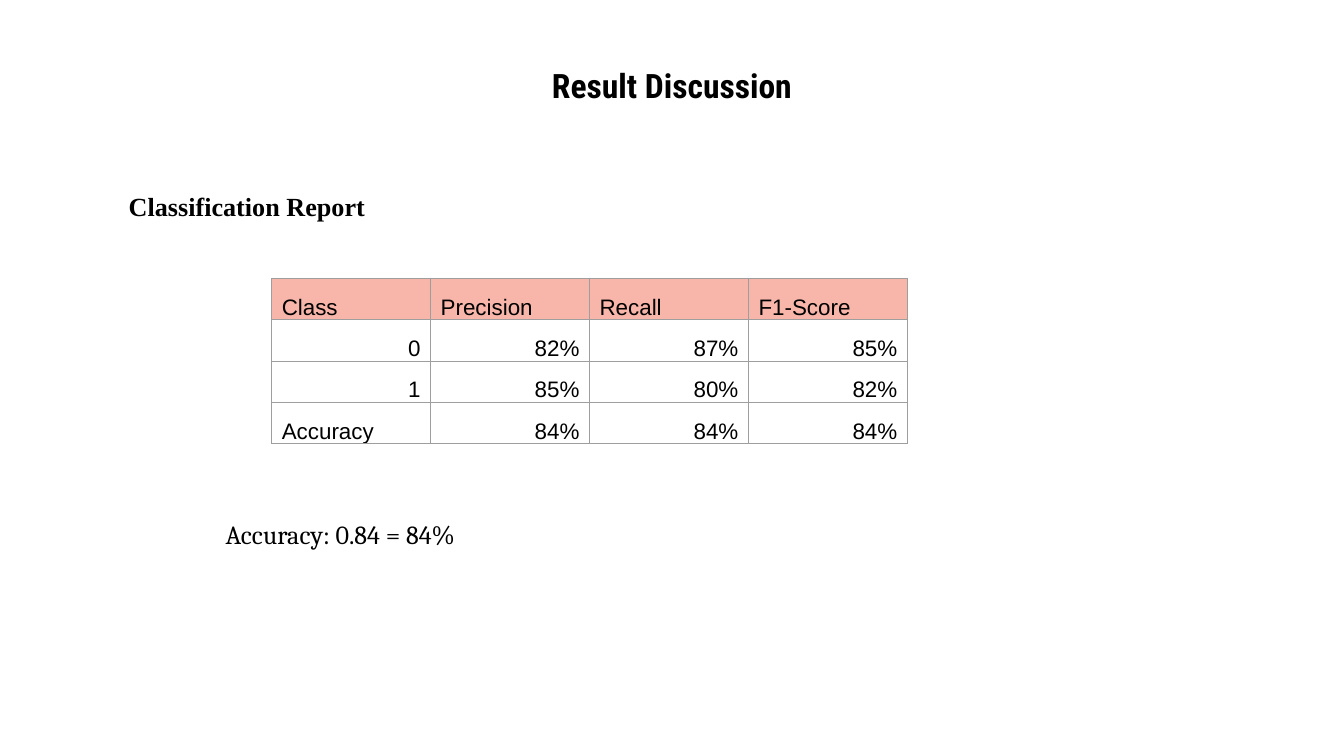
import pptx
import pptx.dml.color
import pptx.enum.text
import pptx.oxml
import pptx.oxml.ns
import pptx.util

HUES = {"ink": "000000", "head": "F7B6A9", "page": "FFFFFF", "line": "9E9E9E"}
ALIGN = pptx.enum.text.PP_ALIGN
ANCHOR = pptx.enum.text.MSO_ANCHOR
SCORES = [
    ["Class", "Precision", "Recall", "F1-Score"],
    ["0", "82%", "87%", "85%"],
    ["1", "85%", "80%", "82%"],
    ["Accuracy", "84%", "84%", "84%"],
]


def hue(name):
    return pptx.dml.color.RGBColor.from_string(HUES[name])


def write(frame, text, font="Arial", size=12, bold=False, align=ALIGN.LEFT, space=None):
    para = frame.paragraphs[0]
    para.alignment = align
    para.line_spacing = space
    run = para.add_run()
    run.text = text
    run.font.name = font
    run.font.size = pptx.util.Pt(size)
    run.font.bold = bold
    run.font.color.rgb = hue("ink")


class Deck:
    """Draws elements on the current slide, on a grid of tenths of an inch."""

    unit = pptx.util.Inches(0.1)

    def __init__(self, cols, rows):
        self.file = pptx.Presentation()
        self.file.slide_width, self.file.slide_height = self.span(cols, rows)
        self.slide = self.file.slides.add_slide(self.file.slide_layouts[5])

    def span(self, *cells):
        return [round(cell * self.unit) for cell in cells]

    def title(self, text, *box):
        shape = self.slide.shapes.title
        shape.left, shape.top, shape.width, shape.height = self.span(*box)
        frame = shape.text_frame
        frame.auto_size = pptx.enum.text.MSO_AUTO_SIZE.NONE
        frame.vertical_anchor = ANCHOR.MIDDLE
        frame.margin_top = frame.margin_bottom = self.unit
        write(frame, text, font="Roboto Condensed", size=18, bold=True,
              align=ALIGN.CENTER, space=0.9)

    def label(self, text, *box, **style):
        frame = self.slide.shapes.add_textbox(*self.span(*box)).text_frame
        frame.word_wrap = True
        write(frame, text, size=14, **style)

    def table(self, data, *box):
        frame = self.slide.shapes.add_table(len(data), len(data[0]), *self.span(*box))
        grid = frame.table
        grid.horz_banding = False
        for r, row in enumerate(data):
            for c, text in enumerate(row):
                self.cell(grid.cell(r, c), text, "page" if r else "head")

    def cell(self, cell, text, fill):
        cell.margin_left = cell.margin_right = pptx.util.Pt(5.4)
        cell.margin_top = cell.margin_bottom = 0
        cell.vertical_anchor = ANCHOR.BOTTOM
        write(cell.text_frame, text, space=1.07,
              align=ALIGN.LEFT if text[0].isalpha() else ALIGN.RIGHT)
        props = cell._tc.get_or_add_tcPr()
        for side in ("lnL", "lnR", "lnT", "lnB"):
            props.append(pptx.oxml.parse_xml(
                f'<a:{side} {pptx.oxml.ns.nsdecls("a")} w="{pptx.util.Pt(0.75)}"><a:solidFill>'
                f'<a:srgbClr val="{HUES["line"]}"/></a:solidFill></a:{side}>'))
        cell.fill.solid()
        cell.fill.fore_color.rgb = hue(fill)


def main():
    deck = Deck(100, 56.25)
    deck.title("Result Discussion", 5, 4.5, 90, 4.1)
    deck.label("Classification Report", 8.6, 13.64, 34.6, 5.7,
               font="Times New Roman", bold=True)
    deck.label("Accuracy: 0.84 = 84%", 15.8, 38.1, 20.4, 5.7, font="Cambria")
    deck.table(SCORES, 20.22, 20.72, 47.3, 12.3)
    deck.file.save("out.pptx")


if __name__ == "__main__":
    main()
